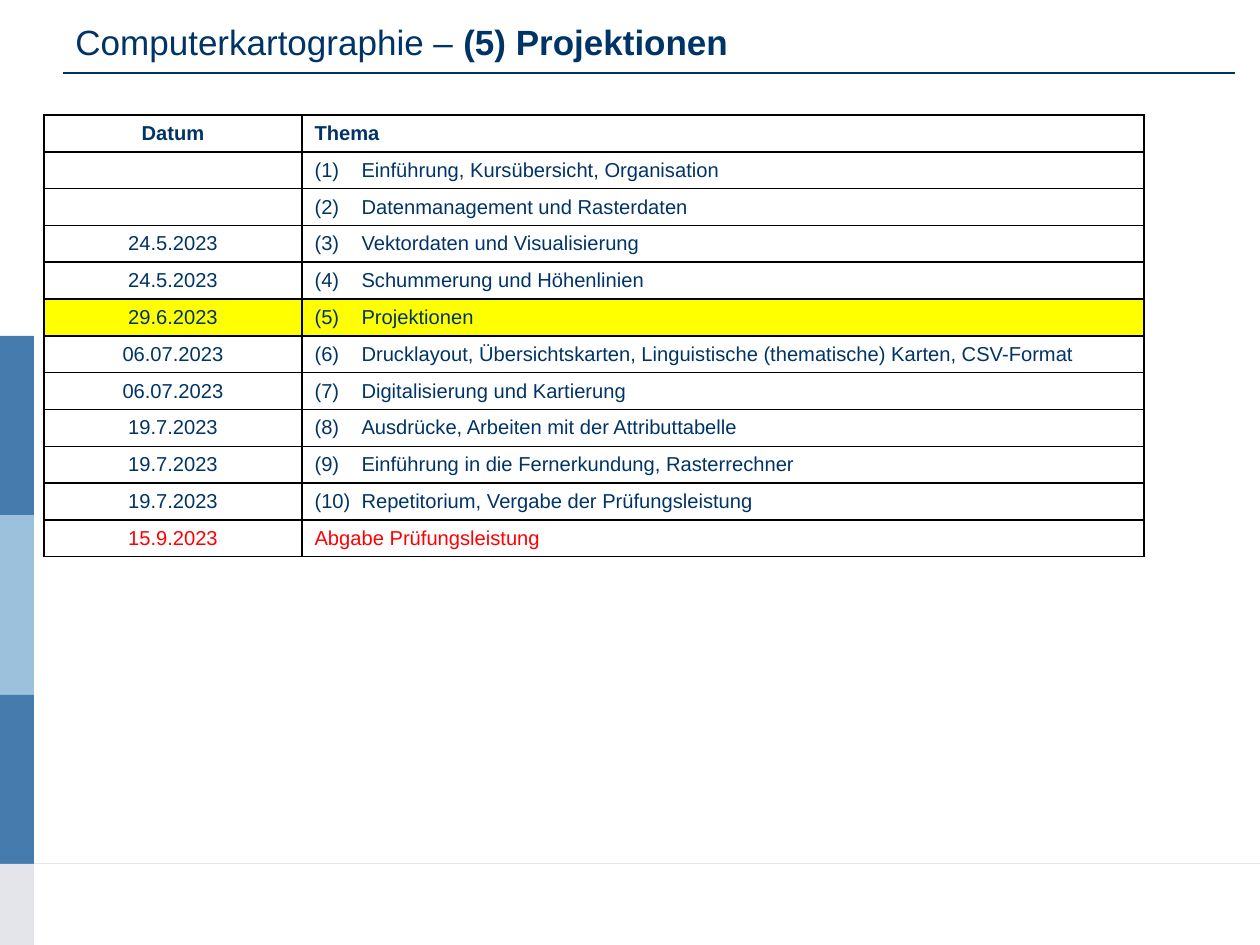
import pptx
import pptx.util
import pptx.dml.color
import pptx.enum.shapes
import pptx.enum.text
from pptx.oxml.ns import qn
from lxml import etree

SCALE = 914400 // 126
NAVY, RED, YELLOW = "003366", "FF0000", "FFFF00"
BLUE, PALE, GREY = "457BAD", "9CC1DD", "E4E5EA"
ALIGN = pptx.enum.text.PP_ALIGN
MIDDLE = pptx.enum.text.MSO_ANCHOR.MIDDLE

# Date, topic
ROWS = [
    ("Datum", "Thema"),
    ("", "(1)\tEinführung, Kursübersicht, Organisation"),
    ("", "(2)\tDatenmanagement und Rasterdaten"),
    ("24.5.2023", "(3)\tVektordaten und Visualisierung"),
    ("24.5.2023", "(4)\tSchummerung und Höhenlinien"),
    ("29.6.2023", "(5)\tProjektionen"),
    ("06.07.2023", "(6)\tDrucklayout, Übersichtskarten, Linguistische (thematische) Karten, CSV-Format"),
    ("06.07.2023", "(7)\tDigitalisierung und Kartierung"),
    ("19.7.2023", "(8)\tAusdrücke, Arbeiten mit der Attributtabelle"),
    ("19.7.2023", "(9)\tEinführung in die Fernerkundung, Rasterrechner"),
    ("19.7.2023", "(10)\tRepetitorium, Vergabe der Prüfungsleistung"),
    ("15.9.2023", "Abgabe Prüfungsleistung"),
]
HEAD, TODAY, DUE = 0, 5, len(ROWS) - 1


def px(n):
    return pptx.util.Emu(n * SCALE)


def rgb(code):
    return pptx.dml.color.RGBColor.from_string(code)


def style(para, size, color, bold=None):
    font = para.font
    font.name, font.size, font.bold = "Arial", pptx.util.Pt(size), bold
    font.color.rgb = rgb(color)


def bar(slide, top, end, color):
    kind = pptx.enum.shapes.MSO_SHAPE.RECTANGLE
    shape = slide.shapes.add_shape(kind, 0, px(top), px(34), px(end - top))
    shape.shadow.inherit = False
    shape.fill.solid()
    shape.fill.fore_color.rgb = rgb(color)
    shape.line.fill.background()


def rule(slide, left, right, y, color, width):
    kind = pptx.enum.shapes.MSO_CONNECTOR.STRAIGHT
    line = slide.shapes.add_connector(kind, px(left), px(y), px(right), px(y))
    line.line.color.rgb = rgb(color)
    line.line.width = pptx.util.Pt(width)
    etree.SubElement(line._element.spPr, qn("a:effectLst"))


def title(slide):
    box = slide.shapes.add_textbox(px(63), px(7), px(1134), px(69))
    frame = box.text_frame
    frame.word_wrap = True
    frame.vertical_anchor = MIDDLE
    para = frame.paragraphs[0]
    para.add_run().text = "Computerkartographie – "
    strong = para.add_run()
    strong.text = "(5) Projektionen"
    strong.font.bold = True
    style(para, 20, NAVY)


def border(cell):
    props = cell._tc.get_or_add_tcPr()
    for side in ("lnL", "lnR", "lnT", "lnB"):
        edge = etree.SubElement(props, qn("a:" + side), w=str(pptx.util.Pt(1)))
        fill = etree.SubElement(edge, qn("a:solidFill"))
        etree.SubElement(fill, qn("a:srgbClr"), val="000000")


def fill_cell(cell, text, row, col):
    border(cell)
    if row == TODAY:
        cell.fill.solid()
        cell.fill.fore_color.rgb = rgb(YELLOW)
    else:
        cell.fill.background()
    cell.vertical_anchor = MIDDLE
    para = cell.text_frame.paragraphs[0]
    para.text = text
    para.alignment = ALIGN.LEFT if col else ALIGN.CENTER
    if "\t" in text:  # hanging indent after the number
        props = para._p.get_or_add_pPr()
        props.set("marL", str(px(47)))
        props.set("indent", str(px(-47)))
    style(para, 11.5, RED if row == DUE else NAVY, row == HEAD)
    if not text:  # keeps an empty row as low as the others
        etree.SubElement(para._p, qn("a:endParaRPr"), sz="1150")


def plan(slide):
    high = 35
    frame = slide.shapes.add_table(len(ROWS), 2, px(44), px(115),
                                   px(1100), px(high * len(ROWS)))
    table = frame.table
    table.first_row = table.horz_banding = False
    for col, wide in zip(table.columns, (258, 842)):
        col.width = px(wide)
    for r, row in enumerate(ROWS):
        table.rows[r].height = px(high)
        for c, text in enumerate(row):
            fill_cell(table.cell(r, c), text, r, c)


def main():
    deck = pptx.Presentation()
    deck.slide_width, deck.slide_height = px(1260), px(945)
    slide = deck.slides.add_slide(deck.slide_layouts[6])

    # Side bars and footer line
    rule(slide, 0, 1260, 864, GREY, 0.5)
    edges = (336, 515, 695, 864, 945)
    for top, end, color in zip(edges, edges[1:], (BLUE, PALE, BLUE, GREY)):
        bar(slide, top, end, color)

    # Heading
    title(slide)
    rule(slide, 63, 1235, 73, NAVY, 0.75)

    # Course plan
    plan(slide)
    deck.save("out.pptx")


if __name__ == "__main__":
    main()
